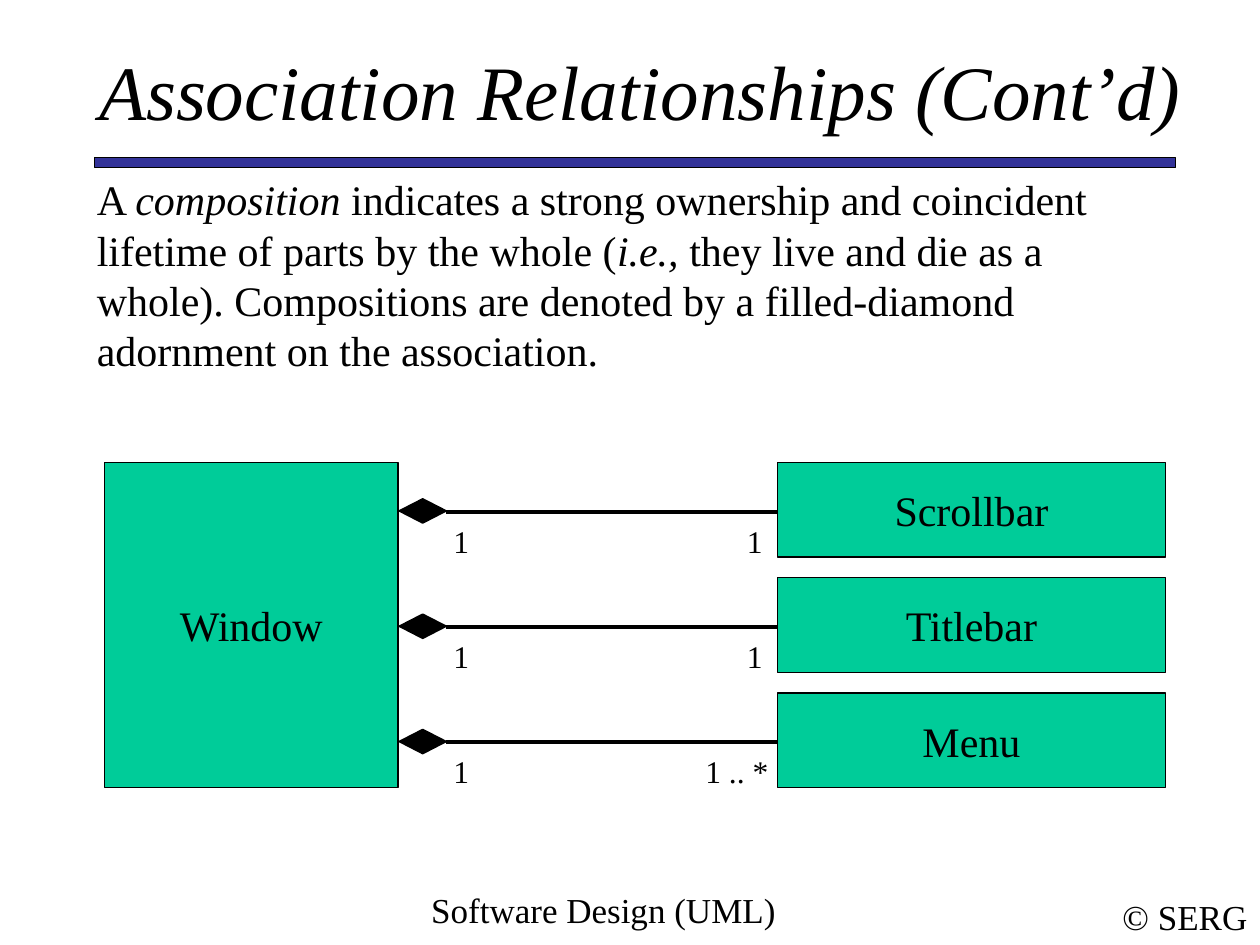
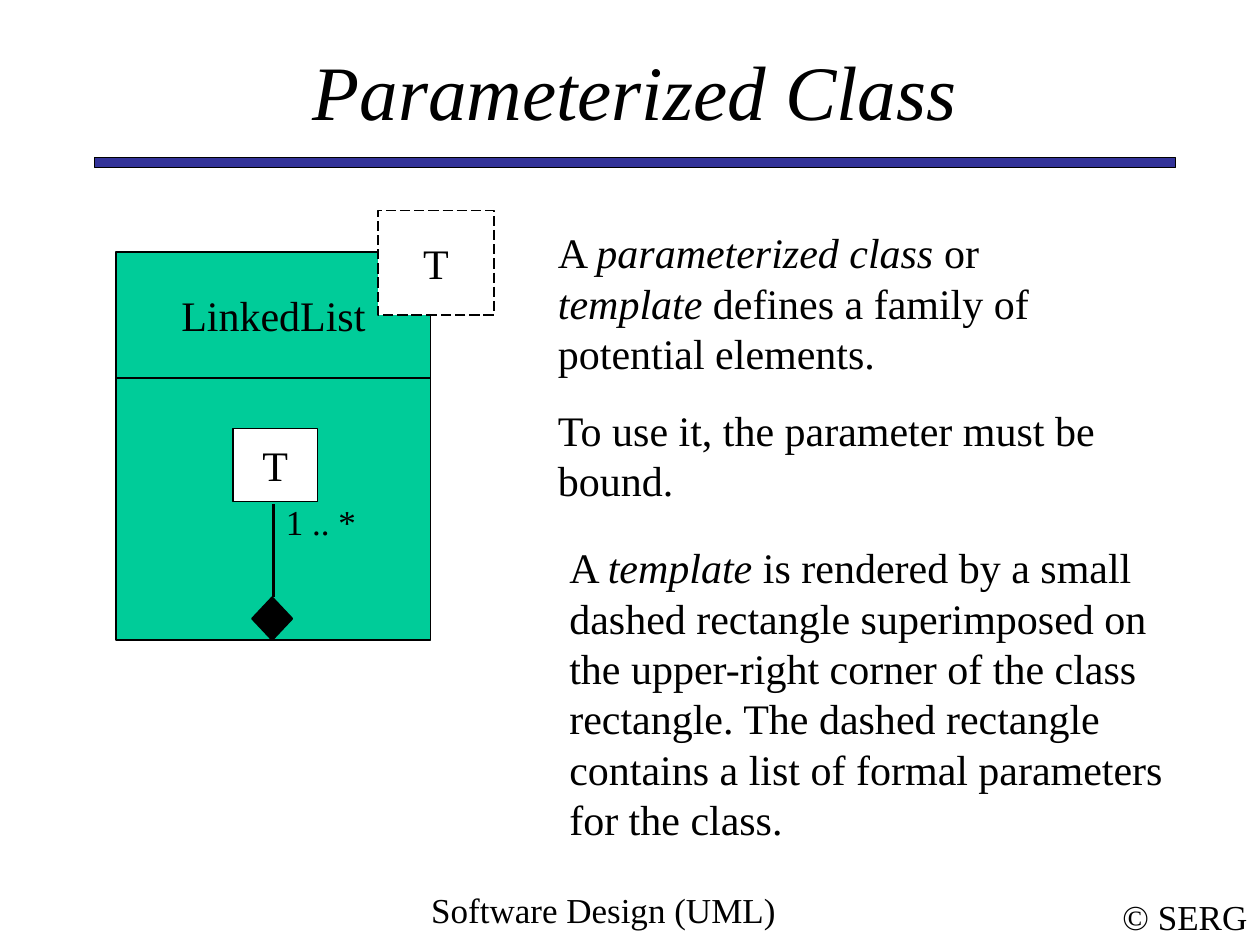
from lxml import etree
from pptx import Presentation
from pptx.dml.color import RGBColor
from pptx.enum.dml import MSO_LINE
from pptx.enum.shapes import MSO_CONNECTOR, MSO_SHAPE
from pptx.enum.text import MSO_ANCHOR, PP_ALIGN
from pptx.oxml.ns import qn
from pptx.util import Inches, Pt

FONT = "Times New Roman"
BLACK = "000000"
WHITE = "FFFFFF"
CLASS_GREEN = "00CC99"
RULE_BLUE = "333399"


def color(value):
    return RGBColor.from_string(value)


def write(paragraph, text, size):
    for index, part in enumerate(text.split("_")):
        if part:
            run = paragraph.add_run()
            run.text = part
            if index % 2:
                run.font.italic = True
    paragraph.font.name = FONT
    paragraph.font.size = Pt(size)
    paragraph.font.color.rgb = color(BLACK)


def add_text(slide, box, *texts, size=24, align=PP_ALIGN.LEFT, gap=0):
    frame = slide.shapes.add_textbox(*map(Inches, box)).text_frame
    frame.word_wrap = True
    for index, text in enumerate(texts):
        paragraph = frame.add_paragraph() if index else frame.paragraphs[0]
        paragraph.alignment = align
        if index:
            paragraph.space_before = Pt(gap)
        write(paragraph, text, size)


def add_box(slide, box, text="", fill=CLASS_GREEN, kind=MSO_SHAPE.RECTANGLE, line_width=0.75):
    shape = slide.shapes.add_shape(kind, *map(Inches, box))
    shape.shadow.inherit = False
    shape.fill.solid()
    shape.fill.fore_color.rgb = color(fill)
    shape.line.color.rgb = color(BLACK)
    shape.line.width = Pt(line_width)
    if text:
        frame = shape.text_frame
        frame.word_wrap = False
        frame.vertical_anchor = MSO_ANCHOR.MIDDLE
        frame.paragraphs[0].alignment = PP_ALIGN.CENTER
        write(frame.paragraphs[0], text, 24)
    return shape


def add_diamond(slide, box):
    add_box(slide, box, fill=BLACK, kind=MSO_SHAPE.DIAMOND, line_width=1)


def add_link(slide, start, end, width):
    link = slide.shapes.add_connector(MSO_CONNECTOR.STRAIGHT, *map(Inches, start + end))
    link.line.color.rgb = color(BLACK)
    link.line.width = Pt(width)
    etree.SubElement(link._element.spPr, qn("a:effectLst"))


def add_titled_slide(deck, title_text, left=0.75, width=8.58):
    slide = deck.slides.add_slide(deck.slide_layouts[5])
    title = slide.shapes.title
    title.left, title.top, title.width, title.height = map(Inches, (left, 0.42, width, 0.58))
    frame = title.text_frame
    frame.margin_left = frame.margin_right = frame.margin_top = frame.margin_bottom = 0
    frame.vertical_anchor = MSO_ANCHOR.MIDDLE
    heading = frame.paragraphs[0]
    heading.alignment = PP_ALIGN.CENTER
    write(heading, title_text, 44)
    heading.font.italic = True
    add_box(slide, (0.75, 1.25, 8.58, 0.08), fill=RULE_BLUE)
    add_text(slide, (2.58, 7, 4.42, 0.5), "Software Design (UML)", size=20, align=PP_ALIGN.CENTER)
    add_text(slide, (8.81, 7.06, 1.19, 0.44), "© SERG", size=20, align=PP_ALIGN.CENTER)
    return slide


def add_part(slide, top, name, count, count_left):
    middle = top + 0.39
    add_link(slide, (3.54, middle), (6.17, middle), 2.25)
    add_diamond(slide, (3.17, middle - 0.1, 0.37, 0.19))
    add_box(slide, (6.17, top, 3.08, 0.75), name)
    add_text(slide, (3.5, top + 0.42, 0.33, 0.4), "1", size=18)
    add_text(slide, (count_left, top + 0.42, 0.83, 0.4), count, size=18)


def add_composition_slide(deck):
    slide = add_titled_slide(deck, "Association Relationships (Cont’d)", 0.67, 8.83)
    add_text(
        slide, (0.67, 1.33, 8.58, 1.7),
        "A _composition _indicates a strong ownership and coincident lifetime of parts "
        "by the whole (_i.e.,_ they live and die as a whole). Compositions are denoted "
        "by a filled-diamond adornment on the association.",
    )
    add_box(slide, (0.83, 3.67, 2.33, 2.58), "Window")
    parts = [("Scrollbar", "1", 5.83), ("Titlebar", "1", 5.83), ("Menu", "1 .. *", 5.5)]
    for row, part in enumerate(parts):
        add_part(slide, 3.67 + row * 0.915, *part)


def add_template_slide(deck):
    slide = add_titled_slide(deck, "Parameterized Class")
    add_box(slide, (0.92, 2, 2.5, 1), "LinkedList")
    parameter = add_box(slide, (3, 1.67, 0.92, 0.83), "T", WHITE)
    parameter.line.dash_style = MSO_LINE.LONG_DASH
    add_box(slide, (0.92, 3, 2.5, 2.08))
    add_box(slide, (1.85, 3.4, 0.67, 0.58), "T", WHITE)
    add_link(slide, (2.17, 4.74), (2.17, 4), 1.5)
    add_diamond(slide, (2, 4.74, 0.32, 0.34))
    add_text(slide, (2.17, 3.92, 0.92, 0.44), "1 .. *", size=20)
    add_text(
        slide, (4.33, 1.75, 4.67, 2.31),
        "A _parameterized class_ or _template_ defines a family of potential elements.",
        "To use it, the parameter must be bound.",
        gap=15,
    )
    add_text(
        slide, (4.42, 4.25, 4.92, 2.5),
        "A _template _is rendered by a small dashed rectangle superimposed on the "
        "upper-right corner of the class rectangle. The dashed rectangle contains "
        "a list of formal parameters for the class.",
    )


def main():
    deck = Presentation()
    deck.slide_width = Inches(10)
    deck.slide_height = Inches(7.5)
    add_composition_slide(deck)
    add_template_slide(deck)
    deck.save("out.pptx")


if __name__ == "__main__":
    main()
